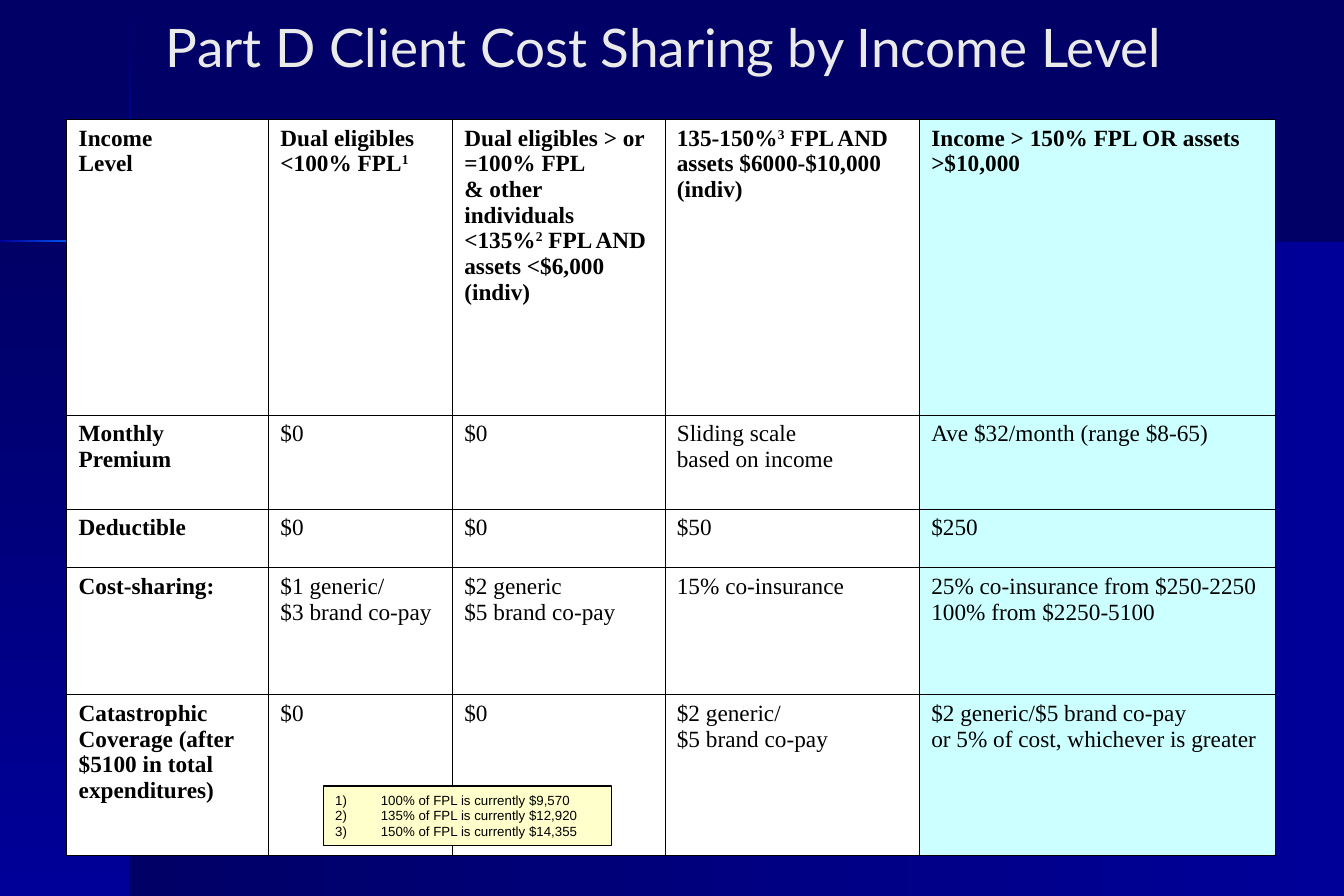
from lxml import etree
from pptx import Presentation
from pptx.dml.color import RGBColor
from pptx.enum.shapes import MSO_SHAPE
from pptx.enum.text import MSO_ANCHOR, PP_ALIGN
from pptx.oxml import parse_xml
from pptx.oxml.ns import qn
from pptx.util import Cm, Pt

RECT = MSO_SHAPE.RECTANGLE
MIDDLE, TOP = MSO_ANCHOR.MIDDLE, MSO_ANCHOR.TOP
LEFT = PP_ALIGN.LEFT
NS = "http://schemas.openxmlformats.org/drawingml/2006/main"
RIGHTWARD, DOWNWARD = 0, 90

COLORS = {
    "navy": "000066",
    "blue": "000099",
    "glow": "0066FF",
    "cream": "FFFFCC",
    "title": "EAEAEA",
    "black": "000000",
    "white": "FFFFFF",
    "cyan": "CCFFFF",
}
BEAM = [("navy", "blue"), ("blue", "glow"), ("glow", "cream", "glow"),
        ("glow", "blue"), ("blue", "navy")]

SLIDE_W, SLIDE_H = 28.58, 19.05
CROSS_X, CROSS_Y = 2.77, 5.13
BEAM_W = 0.05
COL_WIDTHS = [4.29, 3.91, 4.52, 5.41, 7.57]
ROW_HEIGHTS = [6.28, 2, 1.25, 2.7, 3.42]
ROWS = [
    ["Income\nLevel",
     "Dual eligibles <100% FPL^1^",
     "Dual eligibles > or =100% FPL\n& other individuals\n"
     "<135%^2^ FPL AND\nassets <$6,000 (indiv)",
     "135-150%^3^ FPL AND\nassets $6000-$10,000 (indiv)",
     "Income > 150% FPL OR assets >$10,000"],
    ["Monthly Premium", "$0", "$0", "Sliding scale\nbased on income",
     "Ave $32/month (range $8-65)"],
    ["Deductible", "$0", "$0", "$50", "$250"],
    ["Cost-sharing:", "$1 generic/\n$3 brand co-pay",
     "$2 generic\n$5 brand co-pay", "15% co-insurance",
     "25% co-insurance from $250-2250\n100% from $2250-5100"],
    ["Catastrophic\nCoverage (after $5100 in total expenditures)",
     "$0", "$0", "$2 generic/\n$5 brand co-pay",
     "$2 generic/$5 brand co-pay\nor 5% of cost, whichever is greater"],
]
NOTES = [
    "100% of FPL is currently $9,570",
    "135% of FPL is currently $12,920",
    "150% of FPL is currently $14,355",
]


def rgb(name):
    return RGBColor.from_string(COLORS[name])


def add_run(p, text, size, font, color, bold=False):
    r = p.add_run()
    r.text = text
    r.font.size = Pt(size)
    r.font.name = font
    r.font.bold = bold
    r.font.color.rgb = rgb(color)
    return r


def next_paragraph(tf, i):
    return tf.add_paragraph() if i else tf.paragraphs[0]


def add_rect(s, x, y, w, h):
    sp = s.shapes.add_shape(RECT, Cm(x), Cm(y), Cm(w), Cm(h))
    sp.shadow.inherit = False
    return sp


def add_gradient(s, x, y, w, h, names, angle):
    sp = add_rect(s, x, y, w, h)
    sp.line.fill.background()
    stops = "".join(
        f'<a:gs pos="{i * 100000 // (len(names) - 1)}">'
        f'<a:srgbClr val="{COLORS[name]}"/></a:gs>'
        for i, name in enumerate(names))
    fill = parse_xml(f'<a:gradFill xmlns:a="{NS}"><a:gsLst>{stops}</a:gsLst>'
                     f'<a:lin ang="{angle * 60000}" scaled="0"/></a:gradFill>')
    sp.element.spPr.find(qn("a:prstGeom")).addnext(fill)


def add_background(s, w, h):
    s.background.fill.solid()
    s.background.fill.fore_color.rgb = rgb("navy")
    below = h - CROSS_Y
    add_gradient(s, CROSS_X, CROSS_Y, w - CROSS_X, below, ("navy", "blue"), RIGHTWARD)
    add_gradient(s, 0, CROSS_Y, CROSS_X, below, ("navy", "blue"), DOWNWARD)
    ys = [0.03, 3.07, 4.19, 6.05, 7.16, h]
    for y, end, names in zip(ys, ys[1:], BEAM):
        add_gradient(s, CROSS_X - BEAM_W / 2, y, BEAM_W, end - y, names, DOWNWARD)
    xs = [0, 1.74, 3.81, 5.05, w]
    for x, end, names in zip(xs, xs[1:], BEAM[1:]):
        add_gradient(s, x, CROSS_Y - BEAM_W / 2, end - x, BEAM_W, names, RIGHTWARD)


def add_title(s, x, y, w, h):
    tf = s.shapes.add_textbox(Cm(x), Cm(y), Cm(w), Cm(h)).text_frame
    tf.word_wrap = True
    tf.vertical_anchor = MIDDLE
    add_run(tf.paragraphs[0], "Part D Client Cost Sharing by Income Level",
            32, "Lato", "title")


def style_cell(cell, color):
    tcPr = cell._tc.get_or_add_tcPr()
    for side in ("lnL", "lnR", "lnT", "lnB"):
        ln = etree.SubElement(tcPr, qn(f"a:{side}"), w=str(Pt(0.45)))
        fill = etree.SubElement(ln, qn("a:solidFill"))
        etree.SubElement(fill, qn("a:srgbClr"), val=COLORS["black"])
    cell.fill.solid()
    cell.fill.fore_color.rgb = rgb(color)


def fill_cell(cell, text, bold):
    for i, line in enumerate(text.split("\n")):
        p = next_paragraph(cell.text_frame, i)
        for k, part in enumerate(line.split("^")):
            if part:
                r = add_run(p, part, 14, "Times New Roman", "black", bold)
                if k % 2:
                    r.font._element.set("baseline", "30000")


def add_cost_table(s, x, y):
    table = s.shapes.add_table(
        len(ROWS), len(COL_WIDTHS), Cm(x), Cm(y),
        Cm(sum(COL_WIDTHS)), Cm(sum(ROW_HEIGHTS))).table
    table.first_row = table.horz_banding = False
    for col, width in zip(table.columns, COL_WIDTHS):
        col.width = Cm(width)
    for row, height in zip(table.rows, ROW_HEIGHTS):
        row.height = Cm(height)
    last = len(COL_WIDTHS) - 1
    for i, texts in enumerate(ROWS):
        for j, text in enumerate(texts):
            cell = table.cell(i, j)
            style_cell(cell, "cyan" if j == last else "white")
            fill_cell(cell, text, bold=i == 0 or j == 0)


def add_notes_box(s, x, y, w, h):
    sp = add_rect(s, x, y, w, h)
    sp.fill.solid()
    sp.fill.fore_color.rgb = rgb("cream")
    sp.line.color.rgb = rgb("black")
    sp.line.width = Pt(0.75)
    tf = sp.text_frame
    tf.word_wrap = True
    tf.vertical_anchor = TOP
    for i, note in enumerate(NOTES):
        p = next_paragraph(tf, i)
        p.alignment = LEFT
        pPr = p._p.get_or_add_pPr()
        pPr.set("marL", str(Cm(0.97)))
        pPr.set("indent", str(-Cm(0.97)))
        color = etree.SubElement(pPr, qn("a:buClr"))
        etree.SubElement(color, qn("a:srgbClr"), val=COLORS["black"])
        etree.SubElement(pPr, qn("a:buFont"), typeface="Arial")
        etree.SubElement(pPr, qn("a:buAutoNum"), type="arabicParenR")
        add_run(p, note, 8, "Arial", "black")


def main():
    prs = Presentation()
    prs.slide_width, prs.slide_height = Cm(SLIDE_W), Cm(SLIDE_H)
    s = prs.slides.add_slide(prs.slide_layouts[6])
    add_background(s, SLIDE_W, SLIDE_H)
    add_title(s, 3.28, 0, 23.57, 1.96)
    add_cost_table(s, 1.42, 2.54)
    add_notes_box(s, 6.88, 16.71, 6.12, 1.27)
    prs.save("out.pptx")


if __name__ == "__main__":
    main()
